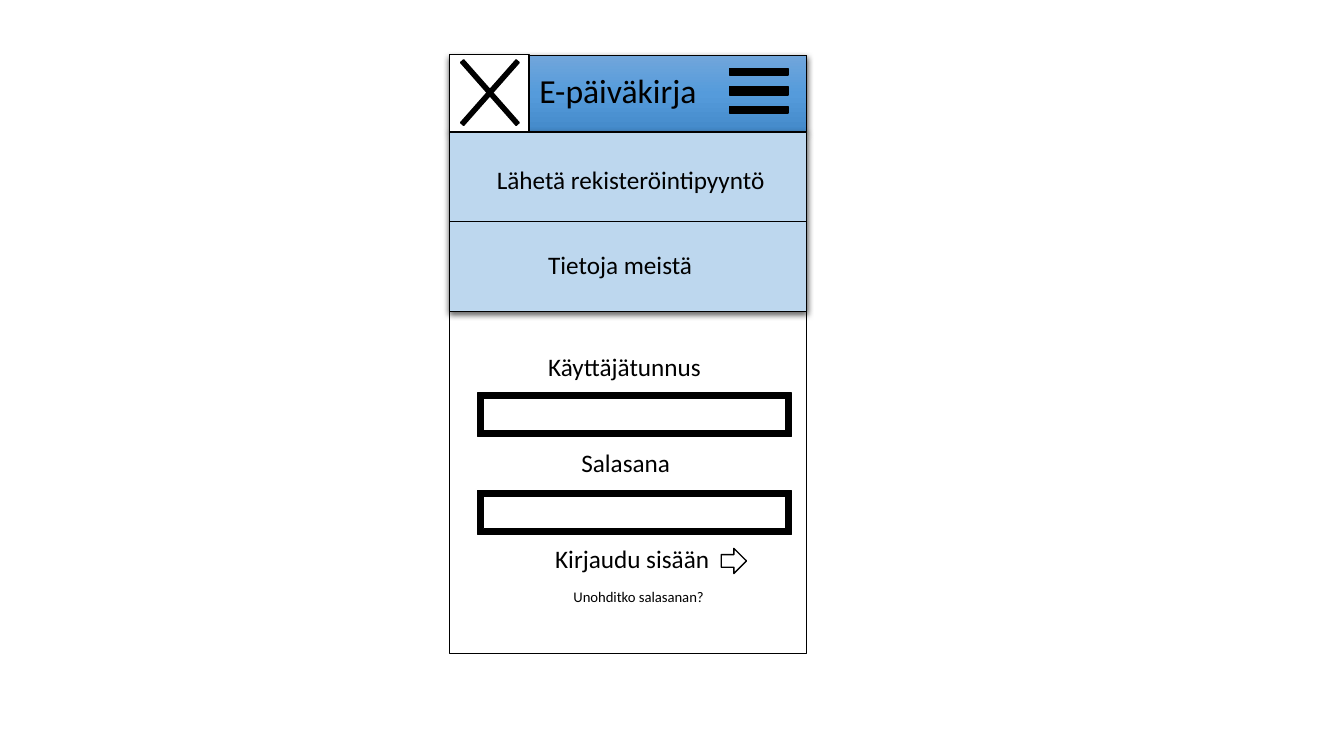
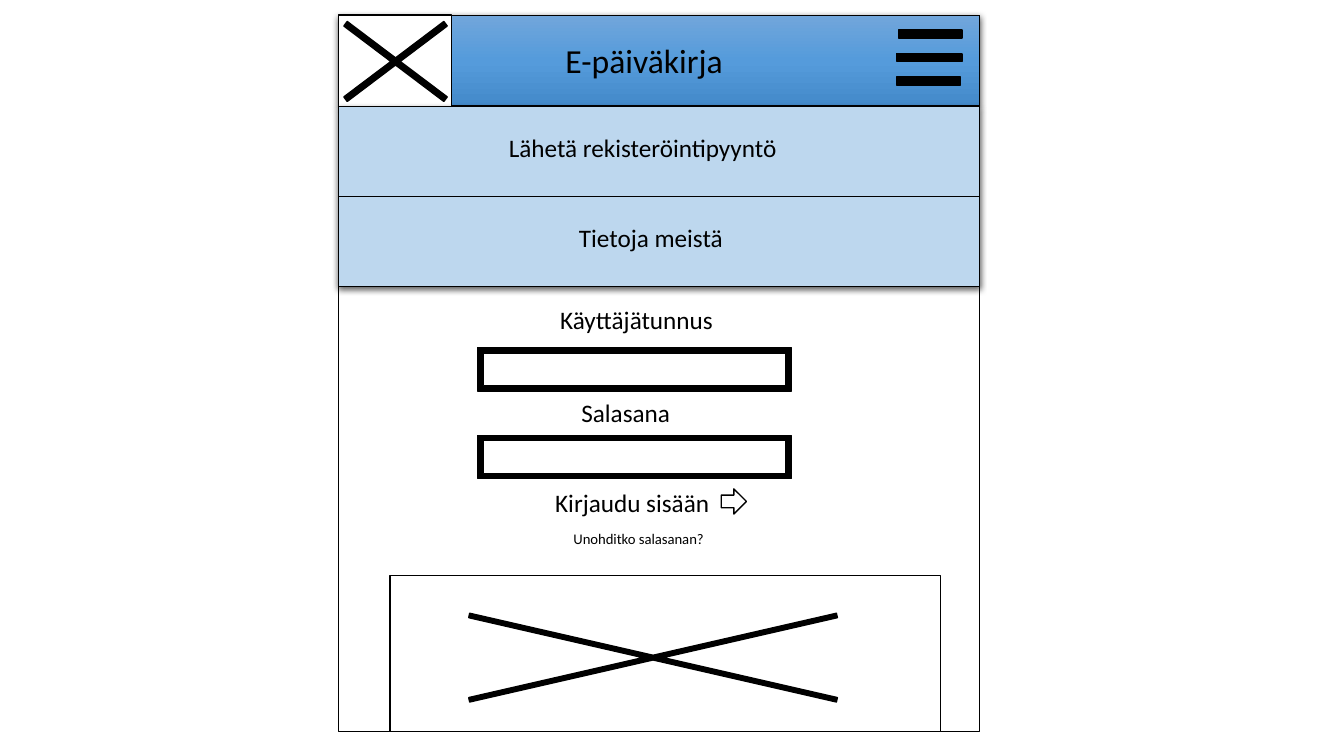
from lxml import etree
from pptx import Presentation
from pptx.dml.color import RGBColor
from pptx.enum.shapes import MSO_CONNECTOR, MSO_SHAPE
from pptx.enum.text import MSO_ANCHOR, MSO_AUTO_SIZE, PP_ALIGN
from pptx.oxml.ns import qn
from pptx.util import Pt

COLORS = {
    "ink": "000000",
    "paper": "FFFFFF",
    "menu": "BDD7EE",
    "header_top": "71A6DB",
    "header_mid": "559BDB",
    "header_low": "448ACA",
}
HEADER_STOPS = [(0, "header_top"), (50, "header_mid"), (100, "header_low")]
FONT = "Calibri"
TITLE_SIZE, LABEL_SIZE, HINT_SIZE = 24, 18, 10.5
LABEL_HEIGHT = 28.8
MENU_HEIGHT = 128.2
FIELD_LEFT, FIELD_WIDTH, FIELD_HEIGHT = 341.3, 223.9, 31


def rgb(name):
    """Return the named colour."""
    return RGBColor.from_string(COLORS[name])


def add_color(parent, name):
    """Add a colour element below parent and return it."""
    return etree.SubElement(parent, qn("a:srgbClr"), val=COLORS[name])


class Wireframe:
    """Draws the login page wireframes; boxes are (left, top, width, height) in points."""

    def __init__(self):
        """Start a widescreen presentation."""
        self.prs = Presentation()
        self.prs.slide_width, self.prs.slide_height = Pt(960), Pt(540)
        self.slide = None

    def new_slide(self):
        """Add a title-only slide and make it current."""
        self.slide = self.prs.slides.add_slide(self.prs.slide_layouts[5])

    def shape(self, kind, box, fill=None, line=1, adjust=()):
        """Add an outlined preset shape without shadow."""
        shape = self.slide.shapes.add_shape(kind, *map(Pt, box))
        shape.shadow.inherit = False
        for index, value in enumerate(adjust):
            shape.adjustments[index] = value
        if fill:
            shape.fill.solid()
            shape.fill.fore_color.rgb = rgb(fill)
        else:
            shape.fill.background()
        shape.line.color.rgb = rgb("ink")
        shape.line.width = Pt(line)
        return shape

    def cast_shadow(self, shape):
        """Give a shape a soft shadow below it."""
        effects = shape.element.spPr.find(qn("a:effectLst"))
        shadow = etree.SubElement(
            effects, qn("a:outerShdw"), blurRad=str(Pt(4.5)), dist=str(Pt(1.5)),
            dir="5400000", algn="ctr", rotWithShape="0")
        etree.SubElement(add_color(shadow, "ink"), qn("a:alpha"), val="63000")

    def header(self, box):
        """Add the header band with its vertical gradient."""
        band = self.shape(MSO_SHAPE.RECTANGLE, box, line=0.75)
        band.fill.gradient()
        band.fill.gradient_angle = 270
        stops = band.element.spPr.find(qn("a:gradFill")).find(qn("a:gsLst"))
        for stop in list(stops):
            stops.remove(stop)
        for percent, name in HEADER_STOPS:
            add_color(etree.SubElement(stops, qn("a:gs"), pos=str(percent * 1000)), name)
        self.cast_shadow(band)

    def set_text(self, shape, text, size):
        """Set left-aligned text at the top of a text shape."""
        frame = shape.text_frame
        frame.text = text
        frame.word_wrap = True
        frame.auto_size = MSO_AUTO_SIZE.SHAPE_TO_FIT_TEXT
        frame.vertical_anchor = MSO_ANCHOR.TOP
        paragraph = frame.paragraphs[0]
        paragraph.alignment = PP_ALIGN.LEFT
        font = paragraph.runs[0].font
        font.name, font.size = FONT, Pt(size)
        font.color.rgb = rgb("ink")

    def title(self, text, box):
        """Place the title placeholder above the shapes drawn so far."""
        title = self.slide.shapes.title
        title.left, title.top, title.width, title.height = map(Pt, box)
        self.set_text(title, text, TITLE_SIZE)
        title.element.getparent().append(title.element)

    def label(self, text, left, top, width=126.7, size=LABEL_SIZE, height=LABEL_HEIGHT):
        """Add a text box."""
        box = self.slide.shapes.add_textbox(Pt(left), Pt(top), Pt(width), Pt(height))
        self.set_text(box, text, size)

    def divider(self, left, right, y):
        """Add a thin horizontal line."""
        line = self.slide.shapes.add_connector(
            MSO_CONNECTOR.STRAIGHT, Pt(left), Pt(y), Pt(right), Pt(y))
        line.line.color.rgb = rgb("ink")
        line.line.width = Pt(0.5)
        etree.SubElement(line.element.spPr, qn("a:effectLst"))

    def menu_icon(self, places, width, height):
        """Stack equal signs into a menu icon."""
        for left, top in places:
            self.shape(MSO_SHAPE.MATH_EQUAL, (left, top, width, height), "ink",
                       adjust=(0.098, 0.2))

    def menu(self, left, top, width, entries):
        """Add the open menu, split in the middle, with (text, left, top, width) entries."""
        panel = self.shape(MSO_SHAPE.RECTANGLE, (left, top, width, MENU_HEIGHT), "menu", 0.75)
        self.cast_shadow(panel)
        self.divider(left, left + width, top + MENU_HEIGHT / 2)
        for entry in entries:
            self.label(*entry)

    def image_box(self, box, cross, thickness=0.039):
        """Add a crossed box that stands for an image."""
        self.shape(MSO_SHAPE.RECTANGLE, box, "paper")
        self.shape(MSO_SHAPE.MATH_MULTIPLY, cross, "ink", adjust=(thickness,))

    def login_form(self, user_left, tops):
        """Add the login form; tops run from the user label down to the hint."""
        user, user_field, password, password_field, login, arrow, hint = tops
        self.label("Käyttäjätunnus", user_left, user)
        self.label("Salasana", 408.2, password)
        self.label("Kirjaudu sisään", 389.5, login)
        self.label("Unohditko salasanan?", 402.5, hint, 108.7, HINT_SIZE, 20.9)
        for top in (user_field, password_field):
            self.shape(MSO_SHAPE.FRAME, (FIELD_LEFT, top, FIELD_WIDTH, FIELD_HEIGHT), "ink")
        self.shape(MSO_SHAPE.RIGHT_ARROW, (515.2, arrow, 18, 18), "paper")


def phone_page(wire):
    """Draw the narrow login page."""
    left, width = 321.1, 254.9
    wire.new_slide()
    wire.shape(MSO_SHAPE.RECTANGLE, (left, 39.4, width, 427.7), line=0.75)
    wire.header((left, 39.4, width, 54.6))
    wire.menu_icon([(513.4, 34.6), (513.4, 47.5)], 56.9, 47.5)
    wire.title("E-päiväkirja", (378, 46.1, 141.1, 36))
    wire.menu(left, 94.3, width, [
        ("Lähetä rekisteröintipyyntö", 347.8, 113.8, 228.2),
        ("Tietoja meistä", 384.5, 174.6, 128.9)])
    wire.login_form(384.5, (247.7, 280.8, 316.1, 350.6, 384.5, 391.7, 416.2))
    wire.image_box((left, 38.9, 56.9, 55.4), (311.8, 23, 76.3, 86.4))


def desktop_page(wire):
    """Draw the wide login page with a banner image."""
    left, width = 241.9, 457.6
    wire.new_slide()
    wire.shape(MSO_SHAPE.RECTANGLE, (left, 10.8, width, 511.9), line=0.75)
    wire.header((left, 10.8, width, 64.8))
    wire.menu_icon([(633.6, 4.3), (632.2, 20.9)], 61.9, 56.9)
    wire.title("E-päiväkirja", (396.7, 25.2, 254.2, 36))
    wire.image_box((left, 10.8, 80.6, 67), (213.8, -7.9, 137.5, 103.7))
    wire.menu(left, 76.3, width, [
        ("Lähetä rekisteröintipyyntö", 356.4, 90.7, 228.2),
        ("Tietoja meistä", 406.4, 155.5, 128.9)])
    wire.login_form(393.1, (213.8, 248.4, 280.1, 311, 344.2, 349.2, 375.1))
    wire.image_box((278.6, 411.1, 393.1, 111.6), (213.8, 411.8, 505.4, 115.9), 0.028)


wireframe = Wireframe()
phone_page(wireframe)
desktop_page(wireframe)
wireframe.prs.save("out.pptx")
